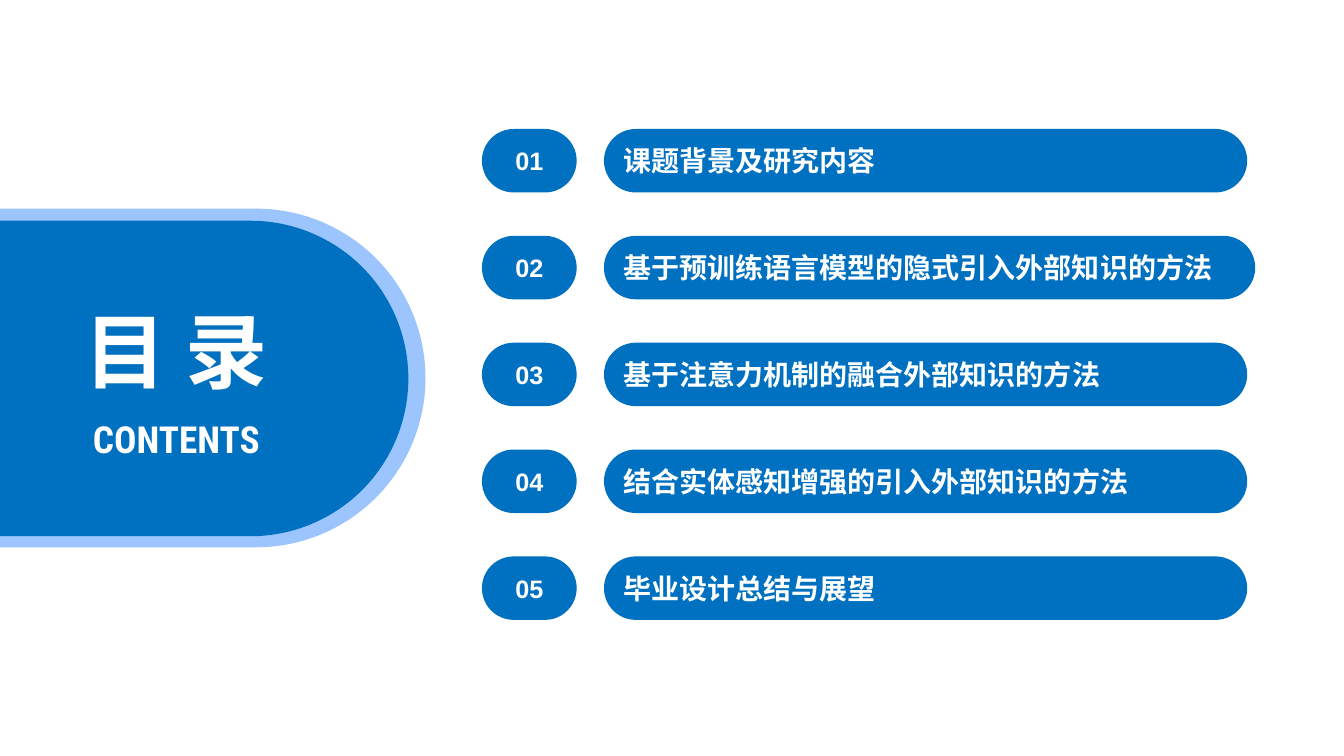
from lxml import etree
from pptx import Presentation
from pptx.dml.color import RGBColor
from pptx.enum.shapes import MSO_SHAPE
from pptx.enum.text import MSO_ANCHOR, PP_ALIGN
from pptx.oxml.ns import qn
from pptx.util import Inches, Pt

PILL = MSO_SHAPE.ROUNDED_RECTANGLE
MIDDLE = MSO_ANCHOR.MIDDLE
LEFT, CENTER = PP_ALIGN.LEFT, PP_ALIGN.CENTER

THEME = {
    "blue": RGBColor(0x00, 0x70, 0xC0),
    "light_blue": RGBColor(0x9C, 0xC5, 0xFD),
    "white": RGBColor(0xFF, 0xFF, 0xFF),
    "latin": "Arial",
    "chinese": "Noto Sans CJK SC",
    "condensed": "Roboto Condensed",
    "title": 58.6,
    "subtitle": 26.6,
    "number": 18,
    "topic": 20,
}

presentation = Presentation()
presentation.slide_width = Inches(13.33)
presentation.slide_height = Inches(7.5)
slide = presentation.slides.add_slide(presentation.slide_layouts[6])


def write_text(shape, text, size, font=THEME["latin"], align=CENTER):
    paragraph = shape.text_frame.paragraphs[0]
    paragraph.alignment = align
    run = paragraph.add_run()
    run.text = text
    run.font.size = Pt(size)
    run.font.bold = True
    run.font.color.rgb = THEME["white"]
    run.font.name = font
    east_asian = etree.SubElement(run.font._element, qn("a:ea"))
    east_asian.set("typeface", THEME["chinese"])


def add_pill(left, top, width, height, color=THEME["blue"]):
    shape = slide.shapes.add_shape(
        PILL, Inches(left), Inches(top), Inches(width), Inches(height))
    shape.adjustments[0] = 0.5
    shape.shadow.inherit = False
    shape.fill.solid()
    shape.fill.fore_color.rgb = color
    shape.line.fill.background()
    shape.text_frame.vertical_anchor = MIDDLE
    return shape


add_pill(-1.96, 2.07, 6.18, 3.36, THEME["light_blue"])
add_pill(-1.7, 2.19, 5.75, 3.13)

NUMBER_LEFT, NUMBER_WIDTH = 4.78, 0.94
TOPIC_LEFT, TOPIC_WIDTH, LONG_TOPIC_WIDTH = 5.99, 6.38, 6.46
FIRST_ROW, ROW_STEP, ROW_HEIGHT = 1.28, 1.06, 0.63

topics = [
    ("课题背景及研究内容", TOPIC_WIDTH),
    ("基于预训练语言模型的隐式引入外部知识的方法", LONG_TOPIC_WIDTH),
    ("基于注意力机制的融合外部知识的方法", TOPIC_WIDTH),
    ("结合实体感知增强的引入外部知识的方法", TOPIC_WIDTH),
    ("毕业设计总结与展望", TOPIC_WIDTH),
]
for row, (topic, topic_width) in enumerate(topics):
    top = FIRST_ROW + row * ROW_STEP
    number_pill = add_pill(NUMBER_LEFT, top, NUMBER_WIDTH, ROW_HEIGHT)
    write_text(number_pill, f"{row + 1:02}", THEME["number"])
    topic_pill = add_pill(TOPIC_LEFT, top, topic_width, ROW_HEIGHT)
    write_text(topic_pill, topic, THEME["topic"], align=LEFT)

headings = [
    ("CONTENTS", (0.62, 4.08, 2.26, 0.55), THEME["subtitle"], THEME["condensed"]),
    ("目 录", (0.7, 2.93, 2.09, 1.09), THEME["title"], THEME["chinese"]),
]
for heading, box, size, font in headings:
    text_box = slide.shapes.add_textbox(*[Inches(length) for length in box])
    text_box.text_frame.word_wrap = False
    write_text(text_box, heading, size, font=font)

presentation.save("out.pptx")
